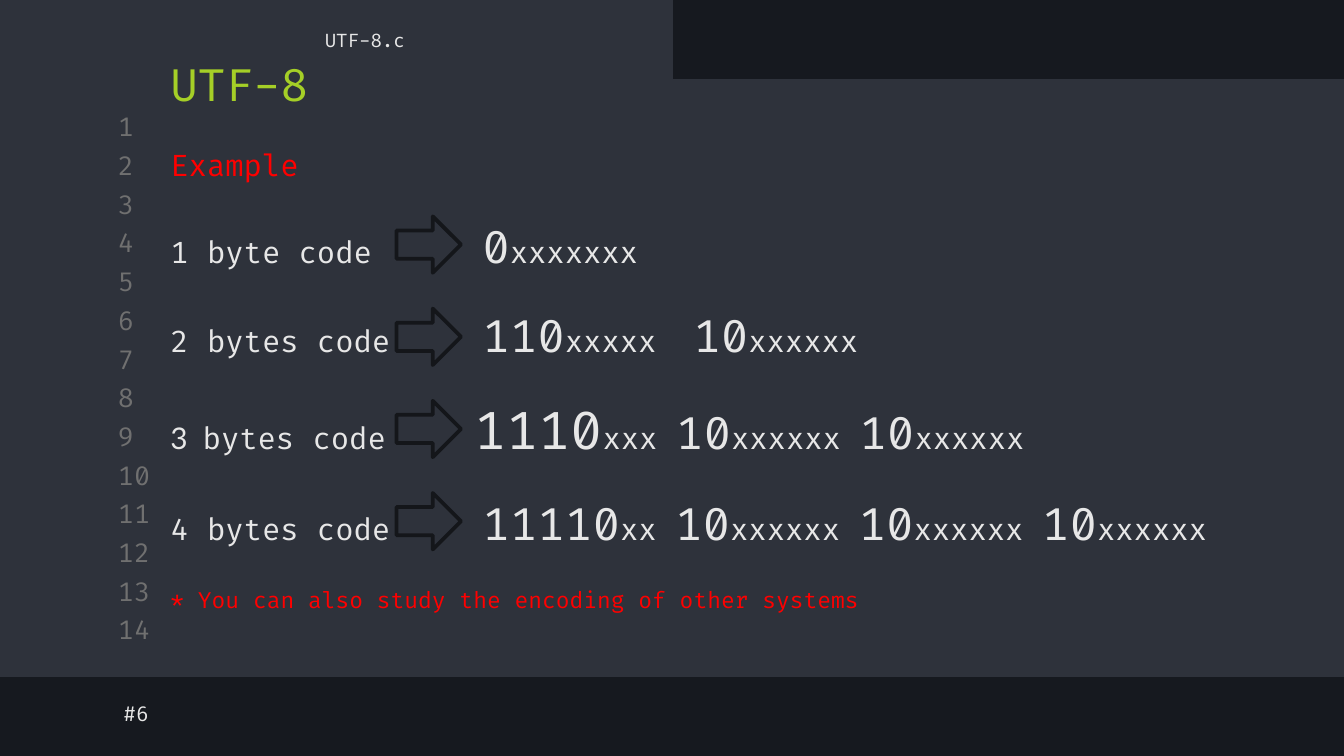
from lxml.etree import SubElement
from pptx import Presentation
from pptx.dml.color import RGBColor
from pptx.enum.shapes import MSO_SHAPE
from pptx.enum.text import MSO_ANCHOR, PP_ALIGN
from pptx.oxml.ns import qn
from pptx.util import Inches, Pt

PANEL, LIGHT, RED = "2E323B", "E7E7E7", "FF0000"


def color(hex_value):
    return RGBColor.from_string(hex_value)


def add_run(paragraph, text, size, text_color, font_name="Fira Code"):
    run = paragraph.add_run()
    run.text = text
    run.font.size = Pt(size)
    run.font.name = font_name
    run.font.color.rgb = color(text_color)


presentation = Presentation()
presentation.slide_width = Inches(10)
presentation.slide_height = Inches(10 * 9 / 16)
slide = presentation.slides.add_slide(presentation.slide_layouts[6])
slide.background.fill.solid()
slide.background.fill.fore_color.rgb = color("16191F")

# Editor panel with its tab, and the arrows between the two columns
arrows = [(MSO_SHAPE.RIGHT_ARROW, 2.95, 1.61 + 0.686 * row, 0.48, 0.42, "14161A", 2)
          for row in range(4)]
panels = [
    (MSO_SHAPE.RECTANGLE, 0, 0.59, 10, 4.44, PANEL, 0.75),
    (MSO_SHAPE.RECTANGLE, 0, 0, 5, 0.65, PANEL, 0.75),
]
for kind, left, top, width, height, line_color, line_width in panels + arrows:
    shape = slide.shapes.add_shape(
        kind, Inches(left), Inches(top), Inches(width), Inches(height))
    shape.shadow.inherit = False
    shape.fill.solid()
    shape.fill.fore_color.rgb = color(PANEL)
    shape.line.color.rgb = color(line_color)
    shape.line.width = Pt(line_width)

# Line numbers, file name, title and slide number
labels = [(str(number), 0.78, 0.82 + 0.288 * (number - 1), 0.47, 0.24, 14, "707070",
           PP_ALIGN.LEFT) for number in range(1, 15)]
labels += [
    ("#6", 0.82, 5.11, 5.32, 0.39, 11, LIGHT, PP_ALIGN.LEFT),
    ("UTF-8.c", 0, 0.1, 5.43, 0.39, 10, LIGHT, PP_ALIGN.CENTER),
    ("UTF-8", 1.17, 0.43, 6.43, 0.39, 24, "A5CF27", PP_ALIGN.LEFT),
]
for text, left, top, width, height, size, text_color, alignment in labels:
    box = slide.shapes.add_textbox(
        Inches(left), Inches(top), Inches(width), Inches(height))
    frame = box.text_frame
    frame.word_wrap = True
    frame.vertical_anchor = MSO_ANCHOR.MIDDLE
    frame.margin_top = frame.margin_bottom = Inches(0.1)
    paragraph = frame.paragraphs[0]
    paragraph.alignment = alignment
    add_run(paragraph, text, size, text_color)

# Body: each line is its tab stops in inches and its runs (text, size, color, font)
prefix, bits = (24, LIGHT), (16, LIGHT)
body_lines = [
    ([], [("Example", 16, RED)]),
    ([2.32], [("1 byte code\t", *bits), ("0", *prefix), ("xxxxxxx", *bits)]),
    ([2.32, 3.89], [("2 bytes code\t", *bits), ("110", *prefix), ("xxxxx\t", *bits),
                    ("10", *prefix), ("xxxxxx", *bits)]),
    ([0.24, 2.26], [("3", *bits, "Lato"), ("\tbytes code\t", *bits),
                    ("1110", 28, LIGHT), ("xxx ", *bits),
                    ("10", *prefix), ("xxxxxx ", *bits),
                    ("10", *prefix), ("xxxxxx", *bits)]),
    ([2.32], [("4 bytes code\t", *bits), ("11110", *prefix), ("xx ", *bits),
              ("10", *prefix), ("xxxxxx ", *bits),
              ("10", *prefix), ("xxxxxx ", *bits),
              ("10", *prefix), ("xxxxxx", *bits)]),
    ([], [("* You can also study the encoding of other systems", 12, RED)]),
]
body = slide.shapes.add_textbox(Inches(1.17), Inches(0.69), Inches(8.83), Inches(4.27))
frame = body.text_frame
frame.word_wrap = True
frame.vertical_anchor = MSO_ANCHOR.MIDDLE
for index, (tab_stops, runs) in enumerate(body_lines):
    if index == 0:
        paragraph = frame.paragraphs[0]
    else:
        paragraph = frame.add_paragraph()
        paragraph.space_before = Pt(19.2)
    if tab_stops:
        tab_list = SubElement(paragraph._p.get_or_add_pPr(), qn("a:tabLst"))
        for stop in tab_stops:
            SubElement(tab_list, qn("a:tab"), pos=str(Inches(stop)), algn="l")
    for run in runs:
        add_run(paragraph, *run)

presentation.save("out.pptx")
